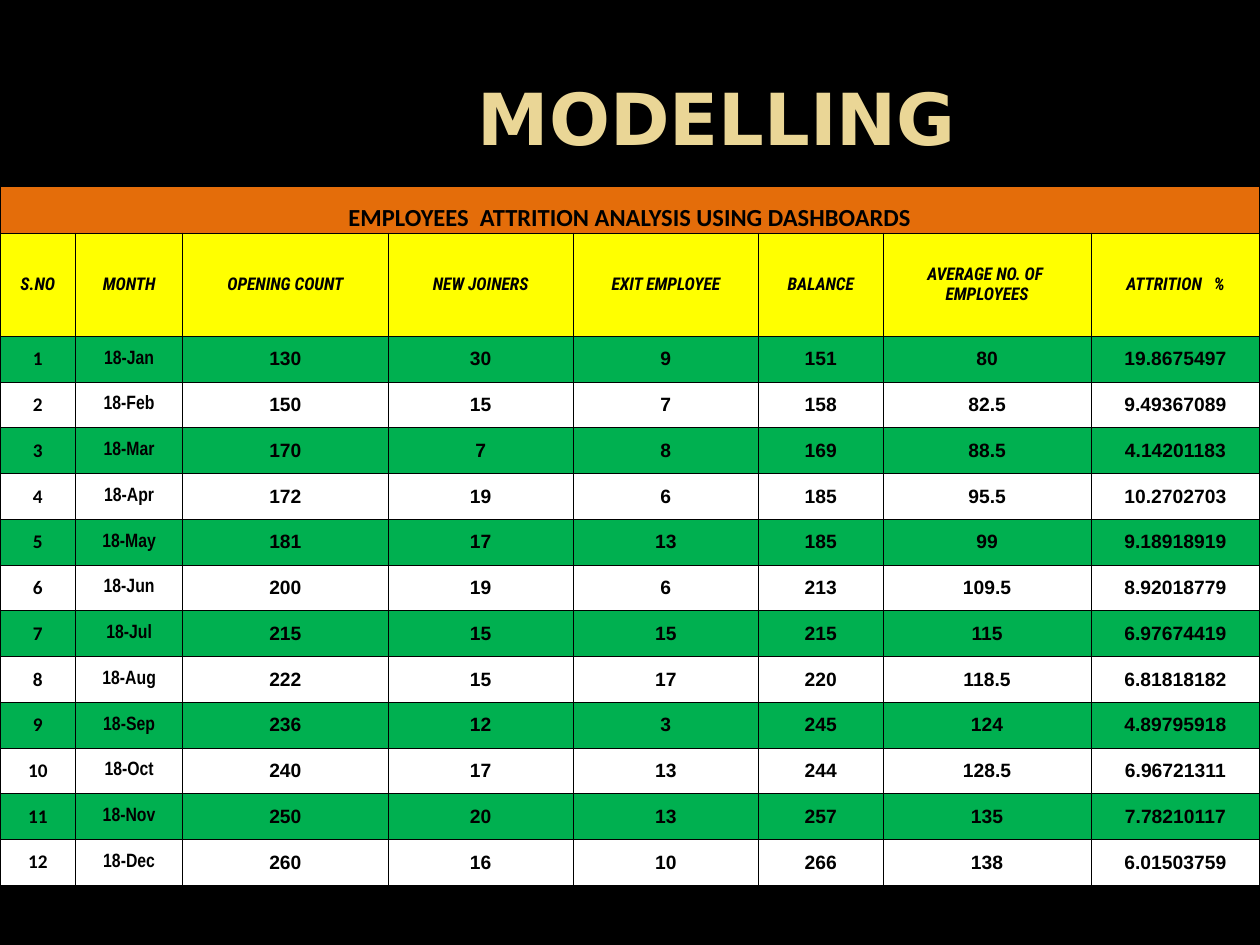
import dataclasses

import lxml.etree
import pptx
import pptx.dml.color
import pptx.enum.text
import pptx.oxml.ns
import pptx.util

Inches = pptx.util.Inches
Anchor = pptx.enum.text.MSO_ANCHOR

HEADS = ["S.NO", "MONTH", "OPENING COUNT", "NEW JOINERS", "EXIT EMPLOYEE",
         "BALANCE", "AVERAGE NO. OF \nEMPLOYEES", "ATTRITION   %"]
# Month, opening count, joiners, exits, balance, average, attrition
MONTHS = [
    ("18-Jan", 130, 30, 9, 151, 80, 19.8675497),
    ("18-Feb", 150, 15, 7, 158, 82.5, 9.49367089),
    ("18-Mar", 170, 7, 8, 169, 88.5, 4.14201183),
    ("18-Apr", 172, 19, 6, 185, 95.5, 10.2702703),
    ("18-May", 181, 17, 13, 185, 99, 9.18918919),
    ("18-Jun", 200, 19, 6, 213, 109.5, 8.92018779),
    ("18-Jul", 215, 15, 15, 215, 115, 6.97674419),
    ("18-Aug", 222, 15, 17, 220, 118.5, 6.81818182),
    ("18-Sep", 236, 12, 3, 245, 124, 4.89795918),
    ("18-Oct", 240, 17, 13, 244, 128.5, 6.96721311),
    ("18-Nov", 250, 20, 13, 257, 135, 7.78210117),
    ("18-Dec", 260, 16, 10, 266, 138, 6.01503759),
]
WIDTHS = [0.6, 0.85, 1.63, 1.47, 1.47, 0.99, 1.65, 1.34]
BANNER, HEADER, TOTAL = 0.37, 0.82, 5.55
ROW = (TOTAL - BANNER - HEADER) / len(MONTHS)


@dataclasses.dataclass(frozen=True)
class Theme:
    black: str = "000000"
    white: str = "FFFFFF"
    gold: str = "EAD696"
    orange: str = "E46D0A"
    yellow: str = "FFFF00"
    green: str = "00B050"
    title: int = 41
    banner: int = 14
    head: int = 10
    body: int = 11
    border: float = 0.5


def rgb(code):
    return pptx.dml.color.RGBColor.from_string(code)


class Deck:
    def __init__(self, theme):
        self.theme = theme
        self.show = pptx.Presentation()
        self.show.slide_width = Inches(10)
        self.show.slide_height = Inches(7.5)
        self.slide = self.show.slides.add_slide(self.show.slide_layouts[6])
        self.paint(self.slide.background.fill, theme.black)

    def paint(self, fill, color):
        fill.solid()
        fill.fore_color.rgb = rgb(color)

    def label(self, frame, text, face, size, color, italic=False):
        para = frame.paragraphs[0]
        para.text = text
        para.alignment = pptx.enum.text.PP_ALIGN.CENTER
        font = para.font
        font.name, font.size = face, pptx.util.Pt(size)
        font.bold, font.italic = True, italic
        font.color.rgb = rgb(color)

    def title(self, text, left, top, width, height, shift):
        """Add a heading whose centre lies `shift` right of the box centre."""
        box = self.slide.shapes.add_textbox(
            Inches(left), Inches(top), Inches(width), Inches(height))
        frame = box.text_frame
        frame.word_wrap = True
        frame.vertical_anchor = Anchor.MIDDLE
        frame.margin_right = Inches(0.1)
        frame.margin_left = Inches(0.1 + 2 * shift)
        self.label(frame, text, "DejaVu Sans", self.theme.title, self.theme.gold)

    def border(self, cell):
        props = cell._tc.get_or_add_tcPr()
        qn = pptx.oxml.ns.qn
        for side in ("lnL", "lnR", "lnT", "lnB"):
            line = lxml.etree.SubElement(
                props, qn(f"a:{side}"), w=str(pptx.util.Pt(self.theme.border)))
            fill = lxml.etree.SubElement(line, qn("a:solidFill"))
            lxml.etree.SubElement(fill, qn("a:srgbClr"), val=self.theme.black)

    def cell(self, cell, text, fill, face, size, italic=False, anchor=Anchor.MIDDLE):
        cell.margin_left = cell.margin_right = 0
        cell.margin_top = cell.margin_bottom = 0
        cell.vertical_anchor = anchor
        self.border(cell)
        self.paint(cell.fill, fill)
        self.label(cell.text_frame, text, face, size, self.theme.black, italic)

    def table(self, banner, heads, months, left, top):
        theme = self.theme
        heights = [BANNER, HEADER] + [ROW] * len(months)
        grid = self.slide.shapes.add_table(
            len(heights), len(WIDTHS), Inches(left), Inches(top),
            Inches(sum(WIDTHS)), Inches(sum(heights))).table
        for col, width in zip(grid.columns, WIDTHS):
            col.width = Inches(width)
        for row, height in zip(grid.rows, heights):
            row.height = Inches(height)

        last = len(WIDTHS) - 1
        grid.cell(0, 0).merge(grid.cell(0, last))
        for col, head in enumerate(heads):
            self.cell(grid.cell(0, col), "" if col else banner, theme.orange,
                      "Calibri", theme.banner, anchor=Anchor.BOTTOM)
            self.cell(grid.cell(1, col), head, theme.yellow,
                      "Roboto Condensed", theme.head, italic=True)

        faces = ["Calibri", "Arial Narrow"] + ["Arial"] * (last - 1)
        for num, month in enumerate(months, 1):
            fill = theme.green if num % 2 else theme.white
            for col, (value, face) in enumerate(zip((num, *month), faces)):
                self.cell(grid.cell(num + 1, col), str(value), fill, face, theme.body)

    def save(self):
        self.show.save("out.pptx")


def main():
    deck = Deck(Theme())
    deck.title("MODELLING", 0.5, 0.3, 9, 1.25, shift=0.69)
    deck.table("EMPLOYEES  ATTRITION ANALYSIS USING DASHBOARDS",
               HEADS, MONTHS, 0, 1.48)
    deck.save()


if __name__ == "__main__":
    main()
